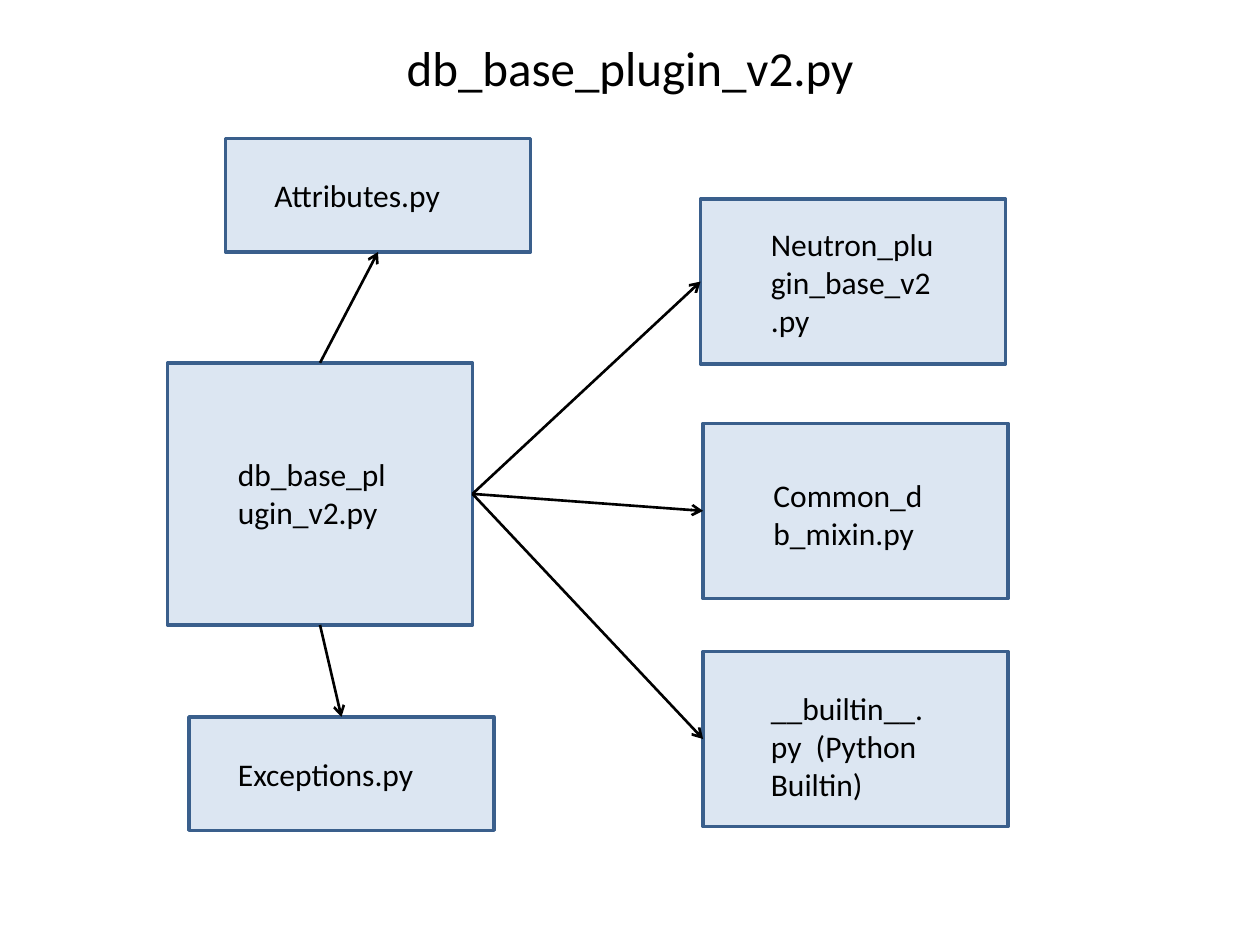
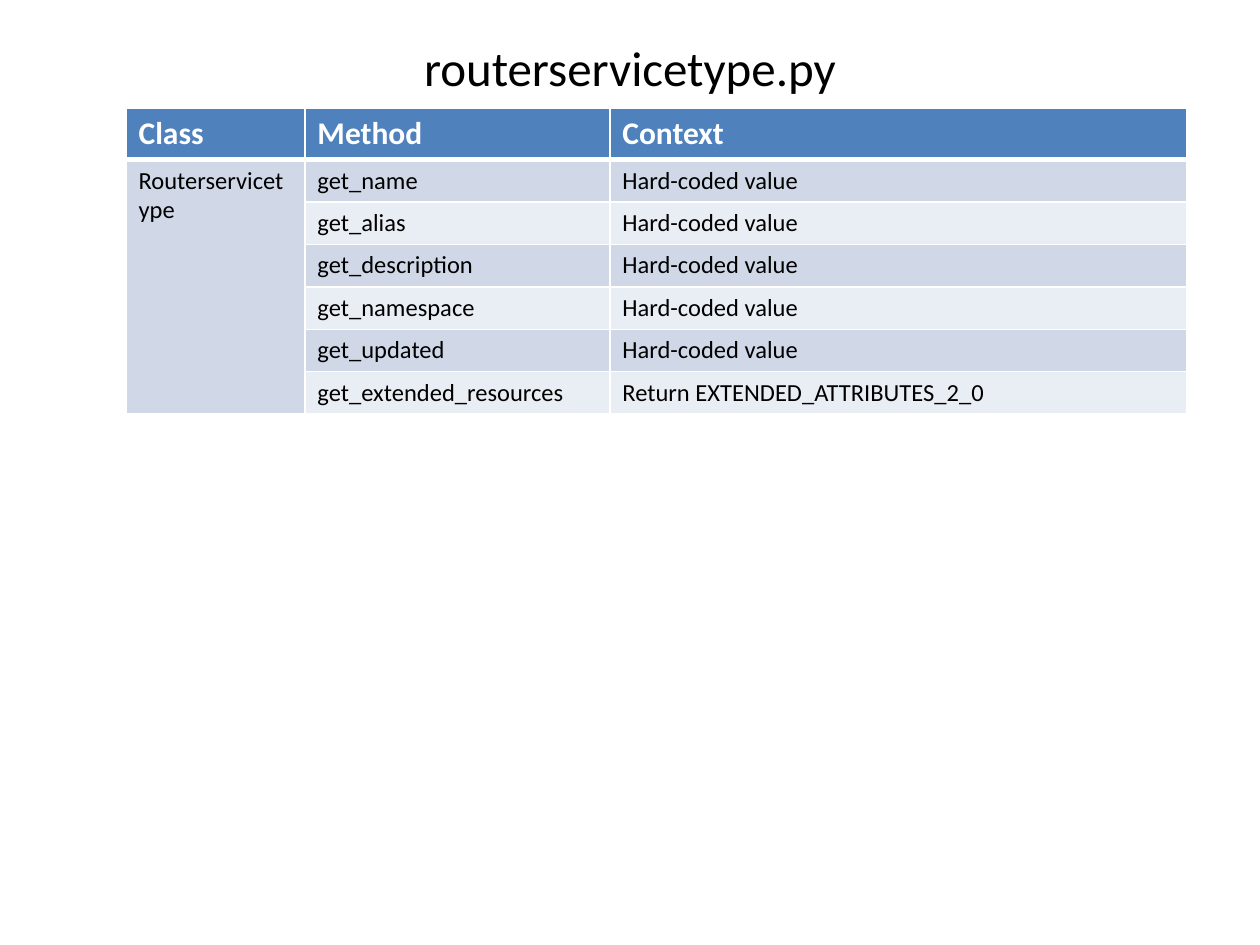
import pptx
import pptx.dml.color
import pptx.enum.shapes
import pptx.enum.text
import pptx.oxml
import pptx.oxml.ns
import pptx.util
from dataclasses import dataclass

# Content: lengths in px, 100 px to the inch
PX = 9144
SLIDE_SIZE = (1000, 750)
TITLE_AREA = (50, 25, 900, 45)

DIAGRAM_TITLE = "db_base_plugin_v2.py"
# name: (text, rectangle, label area)
MODULES = {
    "plugin": ("db_base_plugin_v2.py", (133, 288, 242, 208), (179, 356, 150, 71)),
    "neutron": ("Neutron_plugin_base_v2.py", (556, 158, 242, 131), (602, 174, 150, 101)),
    "mixin": ("Common_db_mixin.py", (558, 336, 242, 139), (604, 373, 150, 71)),
    "builtin": ("__builtin__.py  (Python Builtin)", (558, 517, 242, 139), (602, 542, 150, 101)),
    "attributes": ("Attributes.py", (179, 110, 242, 90), (208, 135, 183, 40)),
    "exceptions": ("Exceptions.py", (150, 569, 242, 90), (179, 594, 183, 40)),
}
TOP, LEFT, BOTTOM, RIGHT = range(4)
# Arrows leaving the plugin: (side left, module reached, side entered)
IMPORTS = [
    (RIGHT, "neutron", LEFT),
    (RIGHT, "mixin", LEFT),
    (RIGHT, "builtin", LEFT),
    (TOP, "attributes", BOTTOM),
    (BOTTOM, "exceptions", TOP),
]

TABLE_TITLE = "routerservicetype.py"
TABLE_ORIGIN = (100, 86)
COLUMN_WIDTHS = (142, 242, 458)
HEADER_HEIGHT, ROW_HEIGHT = 40, 33
HEADER = ("Class", "Method", "Context")
CLASS_NAME = "Routerservicetype"
HARD_CODED = "Hard-coded value"
METHODS = [
    ("get_name", HARD_CODED),
    ("get_alias", HARD_CODED),
    ("get_description", HARD_CODED),
    ("get_namespace", HARD_CODED),
    ("get_updated", HARD_CODED),
    ("get_extended_resources", "Return EXTENDED_ATTRIBUTES_2_0"),
]


@dataclass(frozen=True)
class Theme:
    font: str = "Calibri"
    title_size: int = 28
    label_size: int = 18
    cell_size: int = 14
    ink: str = "000000"
    white: str = "FFFFFF"
    box_fill: str = "DCE6F2"
    box_line: str = "3A5F8C"
    header_fill: str = "4F81BD"
    bands: tuple = ("D0D8E8", "E9EDF4")
    box_width: float = 2
    arrow_width: float = 1.5
    border_width: int = 1
    header_rule: int = 3


THEME = Theme()


# Shared helpers
def color(value):
    return pptx.dml.color.RGBColor.from_string(value)


def emu(lengths):
    return [pptx.util.Emu(length * PX) for length in lengths]


def write(frame, text, size, ink=THEME.ink, bold=False, align=None):
    frame.word_wrap = True
    para = frame.paragraphs[0]
    para.text = text
    para.alignment = align
    para.font.name = THEME.font
    para.font.size = pptx.util.Pt(size)
    para.font.bold = bold
    para.font.color.rgb = color(ink)


def add_page(deck, title):
    page = deck.slides.add_slide(deck.slide_layouts[5])
    heading = page.shapes.title
    heading.left, heading.top, heading.width, heading.height = emu(TITLE_AREA)
    frame = heading.text_frame
    frame.auto_size = pptx.enum.text.MSO_AUTO_SIZE.NONE
    frame.vertical_anchor = pptx.enum.text.MSO_ANCHOR.TOP
    write(frame, title, THEME.title_size, align=pptx.enum.text.PP_ALIGN.CENTER)
    return page


# Module diagram
def add_module(page, text, area, label_area):
    box = page.shapes.add_shape(pptx.enum.shapes.MSO_SHAPE.RECTANGLE, *emu(area))
    box.shadow.inherit = False
    box.fill.solid()
    box.fill.fore_color.rgb = color(THEME.box_fill)
    box.line.color.rgb = color(THEME.box_line)
    box.line.width = pptx.util.Pt(THEME.box_width)
    label = page.shapes.add_textbox(*emu(label_area))
    write(label.text_frame, text, THEME.label_size)
    label.text_frame.auto_size = pptx.enum.text.MSO_AUTO_SIZE.SHAPE_TO_FIT_TEXT
    return box


def add_arrow(page, source, source_side, target, target_side):
    arrow = page.shapes.add_connector(pptx.enum.shapes.MSO_CONNECTOR.STRAIGHT, 0, 0, 0, 0)
    arrow.begin_connect(source, source_side)
    arrow.end_connect(target, target_side)
    arrow.line.color.rgb = color(THEME.ink)
    arrow.line.width = pptx.util.Pt(THEME.arrow_width)
    head = pptx.oxml.parse_xml(f'<a:tailEnd {pptx.oxml.ns.nsdecls("a")} type="arrow"/>')
    arrow.line._get_or_add_ln().append(head)
    no_effects = pptx.oxml.parse_xml(f'<a:effectLst {pptx.oxml.ns.nsdecls("a")}/>')
    arrow._element.spPr.append(no_effects)


def build_diagram(deck):
    page = add_page(deck, DIAGRAM_TITLE)
    boxes = {name: add_module(page, *module) for name, module in MODULES.items()}
    for source_side, name, target_side in IMPORTS:
        add_arrow(page, boxes["plugin"], source_side, boxes[name], target_side)


# Method table
def set_borders(cell, **widths):
    properties = cell._tc.get_or_add_tcPr()
    for position, side in enumerate("LRTB"):
        width = pptx.util.Pt(widths.get(side, THEME.border_width))
        border = pptx.oxml.parse_xml(
            f'<a:ln{side} {pptx.oxml.ns.nsdecls("a")} w="{width}"><a:solidFill>'
            f'<a:srgbClr val="{THEME.white}"/></a:solidFill></a:ln{side}>'
        )
        properties.insert(position, border)


def build_table(deck):
    page = add_page(deck, TABLE_TITLE)
    rows = [HEADER] + [("" if i else CLASS_NAME, *method) for i, method in enumerate(METHODS)]
    heights = [HEADER_HEIGHT] + [ROW_HEIGHT] * len(METHODS)
    area = (*TABLE_ORIGIN, sum(COLUMN_WIDTHS), sum(heights))
    table = page.shapes.add_table(len(rows), len(HEADER), *emu(area)).table
    table.horz_banding = False
    for column, width in zip(table.columns, emu(COLUMN_WIDTHS)):
        column.width = width
    for row, height in zip(table.rows, emu(heights)):
        row.height = height
    table.cell(1, 0).merge(table.cell(len(METHODS), 0))

    for i, texts in enumerate(rows):
        for j, text in enumerate(texts):
            cell = table.cell(i, j)
            cell.fill.solid()
            if i == 0:
                fill = THEME.header_fill
                write(cell.text_frame, text, THEME.label_size, THEME.white, bold=True)
                set_borders(cell, B=THEME.header_rule)
            else:
                fill = THEME.bands[0 if j == 0 else (i - 1) % 2]
                write(cell.text_frame, text, THEME.cell_size)
                set_borders(cell, T=THEME.header_rule if i == 1 else THEME.border_width)
            cell.fill.fore_color.rgb = color(fill)


def main():
    deck = pptx.Presentation()
    deck.slide_width, deck.slide_height = emu(SLIDE_SIZE)
    build_diagram(deck)
    build_table(deck)
    deck.save("out.pptx")


if __name__ == "__main__":
    main()
